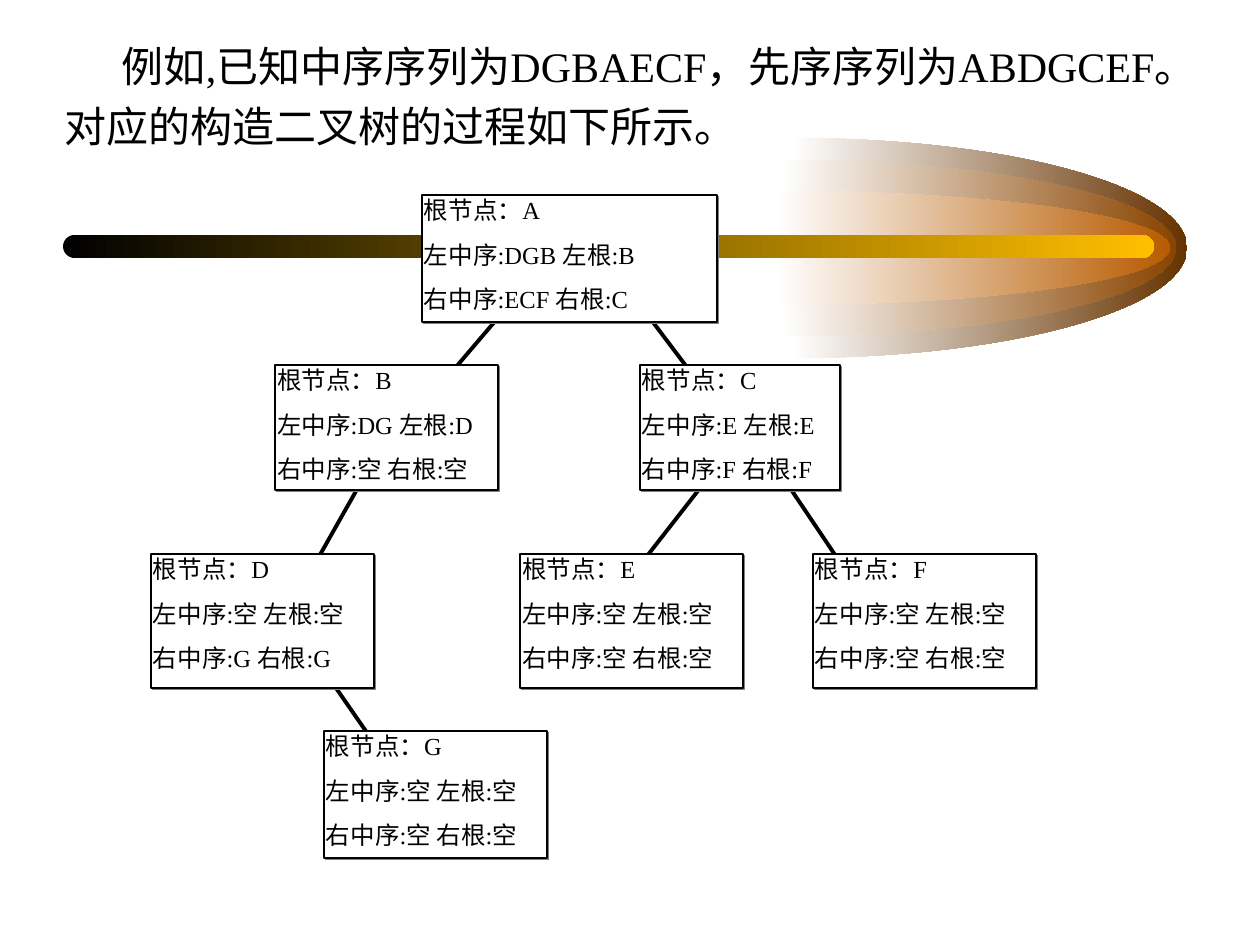
from dataclasses import dataclass

from lxml import etree
from pptx import Presentation
from pptx import util as u
from pptx.dml.color import RGBColor
from pptx.enum import shapes, text
from pptx.oxml.ns import qn

EMU_PER_PX = u.Inches(1) / 126
CURVE = 0.5523  # handle length of a quarter ellipse, as a share of its radius


def px(length):
    return u.Emu(round(length * EMU_PER_PX))


@dataclass(frozen=True)
class Theme:
    font: str = "Times New Roman"
    title_size: int = 24
    node_size: int = 14
    ink: str = "000000"
    paper: str = "FFFFFF"
    shadow: str = "808080"
    gold: str = "FFBF00"
    comet: tuple = ("663300", "894400", "B75B00")
    node_line: float = 0.75
    edge_line: float = 2.25


def write(frame, lines, *, font, size, color, before=0, spacing=None,
          align=None, indent=0, insets=(0, 0, 0, 0)):
    frame.word_wrap = True
    frame.vertical_anchor = text.MSO_ANCHOR.TOP
    (frame.margin_left, frame.margin_top,
     frame.margin_right, frame.margin_bottom) = map(px, insets)
    for number, line in enumerate(lines):
        para = frame.add_paragraph() if number else frame.paragraphs[0]
        para.alignment = align
        para.space_before = u.Pt(before)
        para.line_spacing = spacing
        if indent:
            para._p.get_or_add_pPr().set("indent", str(px(indent)))
        span = para.add_run()
        span.text = line
        span.font.name = font
        span.font.size = u.Pt(size)
        span.font.color.rgb = RGBColor.from_string(color)


def curve_to(segment, points):
    """Turn a straight segment of an outline into a cubic curve."""
    segment.tag = qn("a:cubicBezTo")
    segment.clear()
    for x, y in points:
        etree.SubElement(segment, qn("a:pt"), x=str(px(x)), y=str(px(y)))


class TreeSlide:
    """Holds the theme and the slide being drawn; lengths are in px."""

    def __init__(self, slide, theme):
        self.items = slide.shapes
        self.theme = theme

    def gradient(self, shape, start, end):
        """Fill from left to right, without outline or shadow."""
        shape.shadow.inherit = False
        shape.line.fill.background()
        shape.fill.gradient()
        shape.fill.gradient_angle = 0
        for stop, color in zip(shape.fill.gradient_stops, (start, end)):
            stop.color.rgb = RGBColor.from_string(color)

    def half_ellipse(self, left, middle, radius_x, radius_y, color):
        top, bottom, right = middle - radius_y, middle + radius_y, left + radius_x
        builder = self.items.build_freeform(px(left), px(top))
        corners = [(right, middle), (left, bottom), (left, middle)]
        builder.add_line_segments([(px(x), px(y)) for x, y in corners])
        shape = builder.convert_to_shape()
        upper, lower = list(shape._element.iter(qn("a:lnTo")))[:2]
        reach_x, reach_y = radius_x * CURVE, radius_y * (1 - CURVE)
        curve_to(upper, [(reach_x, 0), (radius_x, reach_y),
                         (radius_x, radius_y)])
        curve_to(lower, [(radius_x, 2 * radius_y - reach_y),
                         (reach_x, 2 * radius_y), (0, 2 * radius_y)])
        self.gradient(shape, self.theme.paper, color)

    def bar(self, *place):
        shape = self.items.add_shape(
            shapes.MSO_SHAPE.ROUNDED_RECTANGLE, *map(px, place))
        shape.adjustments[0] = 0.5
        self.gradient(shape, self.theme.ink, self.theme.gold)

    def title(self, wording, *place):
        box = self.items.add_textbox(*map(px, place))
        write(box.text_frame, [wording], font=self.theme.font,
              size=self.theme.title_size, color=self.theme.ink, before=15,
              spacing=1.2, indent=57, insets=(12, 6, 12, 6))
        box.text_frame.auto_size = text.MSO_AUTO_SIZE.SHAPE_TO_FIT_TEXT

    def edge(self, *ends):
        line = self.items.add_connector(
            shapes.MSO_CONNECTOR.STRAIGHT, *map(px, ends))
        line.line.color.rgb = RGBColor.from_string(self.theme.ink)
        line.line.width = u.Pt(self.theme.edge_line)
        etree.SubElement(line._element.spPr, qn("a:effectLst"))

    def node(self, lines, *place):
        box = self.items.add_shape(shapes.MSO_SHAPE.RECTANGLE, *map(px, place))
        box.fill.solid()
        box.fill.fore_color.rgb = RGBColor.from_string(self.theme.paper)
        box.line.color.rgb = RGBColor.from_string(self.theme.ink)
        box.line.width = u.Pt(self.theme.node_line)
        self.hard_shadow(box)
        write(box.text_frame, lines, font=self.theme.font,
              size=self.theme.node_size, color=self.theme.ink, before=8.75,
              align=text.PP_ALIGN.JUSTIFY, insets=(2, 0, 0, 0))

    def hard_shadow(self, box):
        box.shadow.inherit = False
        effects = box._element.spPr.find(qn("a:effectLst"))
        shadow = etree.SubElement(
            effects, qn("a:outerShdw"), blurRad="0", dist=str(u.Pt(1.4)),
            dir=str(45 * 60000), algn="ctr", rotWithShape="0")
        etree.SubElement(shadow, qn("a:srgbClr"), val=self.theme.shadow)


TITLE = "例如,已知中序序列为DGBAECF，先序序列为ABDGCEF。对应的构造二叉树的过程如下所示。"

COMET = [(793, 110), (782, 88), (776, 57)]  # left, vertical radius

EDGES = [
    (520, 292, 422, 407),
    (634, 297, 717, 407),
    (368, 470, 299, 592),
    (318, 662, 397, 776),
    (708, 478, 619, 592),
    (788, 485, 860, 592),
]

# root, left order, left root, right order, right root, place
NODES = [
    ("A", "DGB", "B", "ECF", "C", (422, 195, 295, 127)),
    ("B", "DG", "D", "空", "空", (275, 365, 223, 125)),
    ("D", "空", "空", "G", "G", (151, 554, 223, 134)),
    ("G", "空", "空", "空", "空", (324, 731, 223, 127)),
    ("C", "E", "E", "F", "F", (640, 365, 200, 125)),
    ("E", "空", "空", "空", "空", (520, 554, 223, 134)),
    ("F", "空", "空", "空", "空", (813, 554, 223, 134)),
]


def main():
    deck = Presentation()
    deck.slide_width, deck.slide_height = px(1260), px(945)
    page = TreeSlide(deck.slides.add_slide(deck.slide_layouts[6]), Theme())

    for (left, radius), color in zip(COMET, page.theme.comet):
        page.half_ellipse(left, 248, 394, radius, color)
    page.bar(63, 235, 1091, 23)
    page.title(TITLE, 53, 24, 1197, 134)
    for ends in EDGES:
        page.edge(*ends)
    for root, left, left_root, right, right_root, place in NODES:
        page.node([f"根节点：{root}",
                   f"左中序:{left} 左根:{left_root}",
                   f"右中序:{right} 右根:{right_root}"], *place)

    deck.save("out.pptx")


if __name__ == "__main__":
    main()
